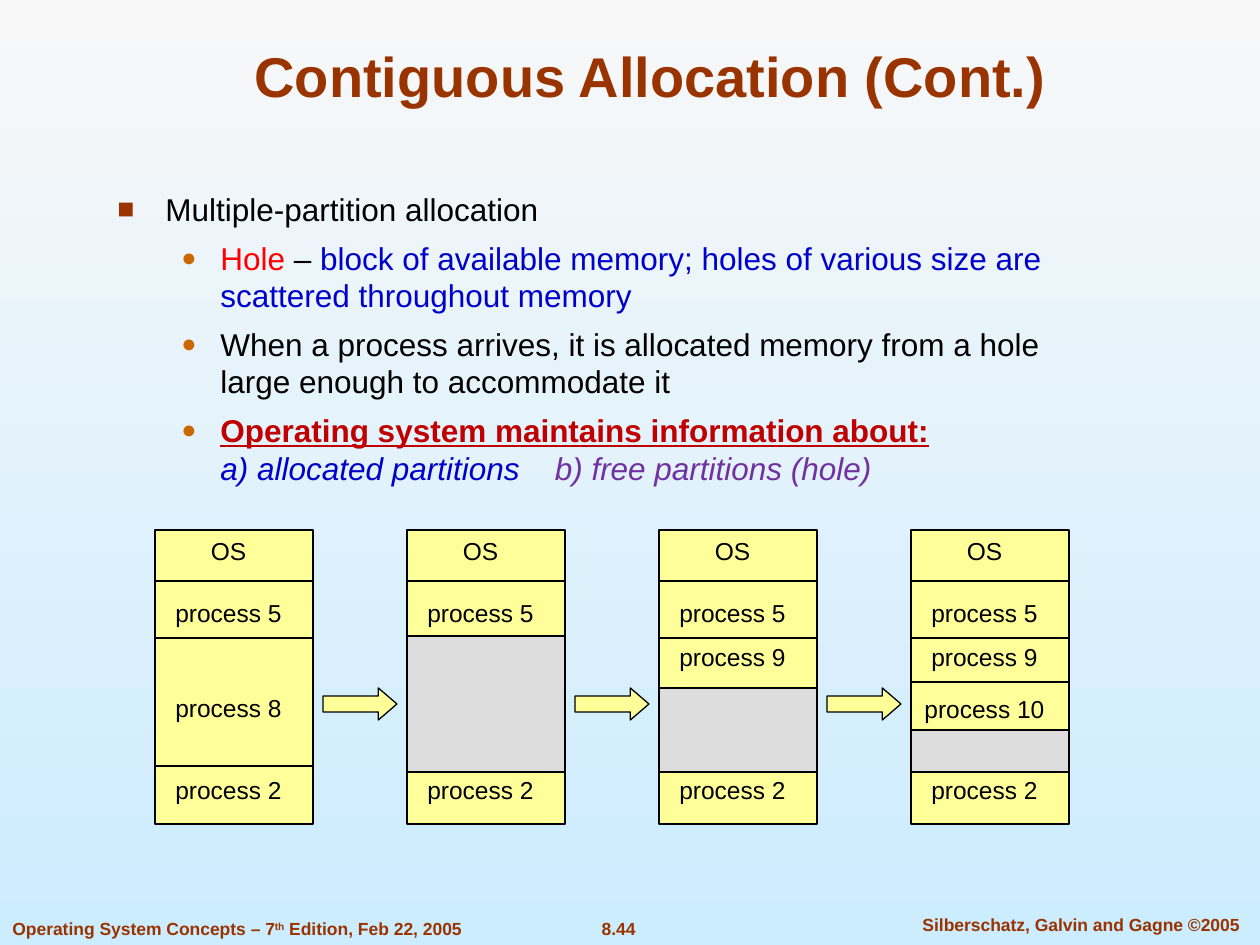
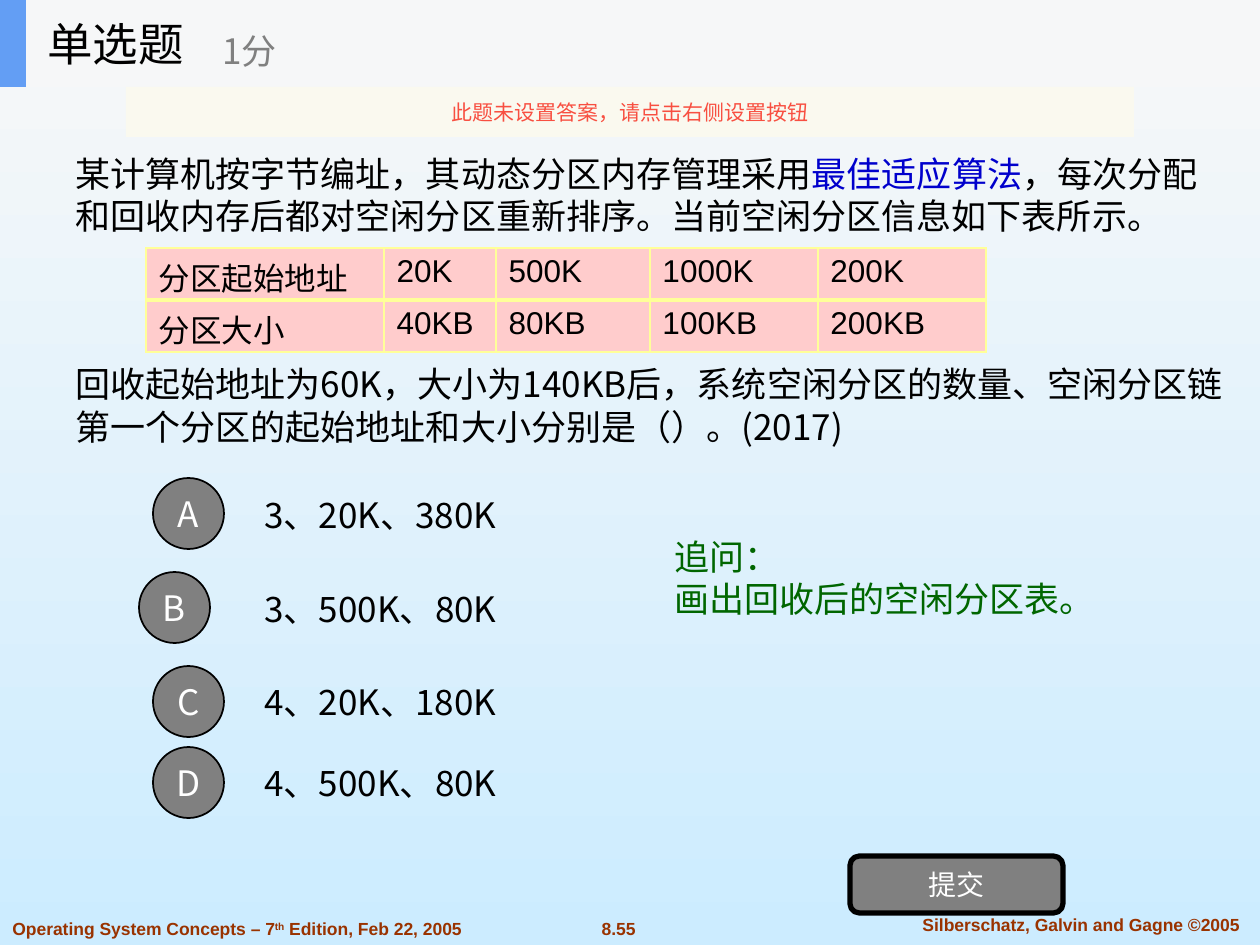
import lxml.etree
import pptx
import pptx.dml.color
import pptx.enum.shapes
import pptx.enum.text
import pptx.oxml
import pptx.oxml.ns
import pptx.util

RGB = pptx.dml.color.RGBColor
Pt = pptx.util.Pt
qn = pptx.oxml.ns.qn
SHAPE = pptx.enum.shapes.MSO_SHAPE
ALIGN = pptx.enum.text.PP_ALIGN
ANCHOR = pptx.enum.text.MSO_ANCHOR

PX = 914400 / 126
LATIN = "Arial"
CJK = "Noto Sans CJK SC"

BLACK = RGB(0x00, 0x00, 0x00)
WHITE = RGB(0xFF, 0xFF, 0xFF)
SKY_TOP = RGB(0xF8, 0xF8, 0xF8)
SKY_BOTTOM = RGB(0xCC, 0xEC, 0xFF)
BROWN = RGB(0x99, 0x33, 0x00)
ORANGE = RGB(0xCC, 0x66, 0x00)
RED = RGB(0xFF, 0x00, 0x00)
DARK_RED = RGB(0xC0, 0x00, 0x00)
BLUE = RGB(0x00, 0x00, 0xCC)
PURPLE = RGB(0x70, 0x30, 0xA0)
GREEN = RGB(0x00, 0x66, 0x00)
YELLOW = RGB(0xFF, 0xFF, 0x99)
PINK = RGB(0xFF, 0xCC, 0xCC)
HOLE_GREY = RGB(0xDD, 0xDD, 0xDD)
GREY = RGB(0x80, 0x80, 0x80)
HEADER_GREY = RGB(0xF6, 0xF7, 0xF8)
HEADER_BLUE = RGB(0x63, 0x9E, 0xF4)
NOTICE_CREAM = RGB(0xFB, 0xFA, 0xEF)
NOTICE_RED = RGB(0xF8, 0x4F, 0x41)

COLUMN_LEFT, COLUMN_STEP, COLUMN_WIDTH = 155, 252, 158
MEMORY_TOP, MEMORY_HEIGHT = 530, 294
# Each memory state: labels with their tops, divider heights, top of the hole
HOLE_BOTTOM = 772
SHARED_LABELS = [("OS", MEMORY_TOP), ("process 5", 592), ("process 2", 769)]
SHARED_DIVIDERS = [581, 638, 766]
MEMORY_STATES = [
    ([("process 8", 687)], [], None),
    ([], [], 636),
    ([("process 9", 636)], [], 688),
    ([("process 9", 636), ("process 10", 688)], [682], 730),
]

FREE_PARTITIONS = [
    ["分区起始地址", "20K", "500K", "1000K", "200K"],
    ["分区大小", "40KB", "80KB", "100KB", "200KB"],
]
# letter, answer, circle left, row centre
OPTIONS = [
    ("A", "3、20K、380K", 153, 514),
    ("B", "3、500K、80K", 139, 608),
    ("C", "4、20K、180K", 153, 702),
    ("D", "4、500K、80K", 153, 783),
]


def px(*lengths):
    return [round(n * PX) for n in lengths]


def add_run(p, text, size, color=BLACK, font=LATIN, bold=False, italic=False,
            underline=False, tracking=0):
    """Tracking is extra space after each letter, in points."""
    r = p.add_run()
    r.text = text
    f = r.font
    f.name, f.size, f.bold, f.italic = font, Pt(size), bold, italic
    f.underline = underline
    f.color.rgb = color
    rPr = r._r.get_or_add_rPr()
    if tracking:
        rPr.set("spc", str(tracking * 100))
    lxml.etree.SubElement(rPr, qn("a:ea")).set("typeface", CJK)
    return r


def add_box(shapes, box, anchor=ANCHOR.TOP, wrap=True):
    tf = shapes.add_textbox(*px(*box)).text_frame
    tf.word_wrap = wrap
    tf.vertical_anchor = anchor
    return tf


def add_line_of_text(shapes, box, text, size, color=BLACK, font=LATIN, bold=False,
                     align=ALIGN.LEFT, anchor=ANCHOR.MIDDLE, wrap=True):
    p = add_box(shapes, box, anchor, wrap).paragraphs[0]
    p.alignment = align
    add_run(p, text, size, color, font, bold)
    return p


def add_filled(shapes, kind, box, fill, line_width=0):
    sp = shapes.add_shape(kind, *px(*box))
    sp.shadow.inherit = False
    sp.fill.solid()
    sp.fill.fore_color.rgb = fill
    if line_width:
        sp.line.color.rgb = BLACK
        sp.line.width = Pt(line_width)
    else:
        sp.line.fill.background()
    return sp


def label_shape(sp, text, size, color):
    tf = sp.text_frame
    tf.word_wrap = False
    tf.vertical_anchor = ANCHOR.MIDDLE
    p = tf.paragraphs[0]
    p.alignment = ALIGN.CENTER
    add_run(p, text, size, color, CJK)


def add_divider(shapes, x, y, width):
    line = shapes.add_connector(pptx.enum.shapes.MSO_CONNECTOR.STRAIGHT,
                                *px(x, y, x + width, y))
    line.line.color.rgb = BLACK
    line.line.width = Pt(0.75)
    lxml.etree.SubElement(line._element.spPr, qn("a:effectLst"))


def set_bullet(p, char, color, percent, margin, hanging):
    pPr = p._p.get_or_add_pPr()
    pPr.set("marL", str(px(margin)[0]))
    pPr.set("indent", str(px(-hanging)[0]))
    clr = lxml.etree.SubElement(pPr, qn("a:buClr"))
    lxml.etree.SubElement(clr, qn("a:srgbClr")).set("val", str(color))
    lxml.etree.SubElement(pPr, qn("a:buSzPct")).set("val", str(percent * 1000))
    lxml.etree.SubElement(pPr, qn("a:buFont")).set("typeface", LATIN)
    lxml.etree.SubElement(pPr, qn("a:buChar")).set("char", char)


def set_border(cell, side, width):
    """Side is L, R, T or B; call in that order, before the fill is set."""
    ln = lxml.etree.SubElement(cell._tc.get_or_add_tcPr(), qn("a:ln" + side))
    ln.set("w", str(Pt(width)))
    fill = lxml.etree.SubElement(ln, qn("a:solidFill"))
    lxml.etree.SubElement(fill, qn("a:srgbClr")).set("val", str(YELLOW))


def add_slide(prs, number):
    """Blank slide with the sky gradient and the three footers."""
    s = prs.slides.add_slide(prs.slide_layouts[6])
    fill = s.background.fill
    fill.gradient()
    fill.gradient_angle = 270
    for stop, color in zip(fill.gradient_stops, (SKY_TOP, SKY_BOTTOM)):
        stop.color.rgb = color
    footer = dict(size=10, color=BROWN, bold=True)
    add_line_of_text(s.shapes, (585, 912, 67, 34), number, align=ALIGN.CENTER,
                     anchor=ANCHOR.TOP, wrap=False, **footer)
    add_line_of_text(s.shapes, (894, 908, 374, 34),
                     "Silberschatz, Galvin and Gagne ©2005", align=ALIGN.CENTER,
                     anchor=ANCHOR.TOP, **footer)
    p = add_line_of_text(s.shapes, (0, 912, 530, 34), "Operating System Concepts – 7",
                         anchor=ANCHOR.TOP, wrap=False, **footer)
    add_run(p, "th", **footer).font._element.set("baseline", "30000")
    add_run(p, " Edition, Feb 22, 2005", **footer)
    return s


def add_bullets(shapes):
    top = ("■", BROWN, 90, 48, 48)
    sub = ("●", ORANGE, 80, 103, 39)
    points = [
        (top, [("Multiple-partition allocation", {})]),
        (sub, [("Hole", dict(color=RED)), (" – ", {}),
               ("block of available memory; holes of various size are "
                "scattered throughout memory", dict(color=BLUE))]),
        (sub, [("When a process arrives, it is allocated memory from a hole "
                "large enough to accommodate it", {})]),
        (sub, [("Operating system maintains information about:",
                dict(color=DARK_RED, bold=True, underline=True)),
               None,
               ("a) allocated partitions", dict(color=BLUE, italic=True)),
               (" ", dict(color=BLUE, italic=True, tracking=15)),
               ("b) free partitions (hole)", dict(color=PURPLE, italic=True))]),
    ]
    tf = add_box(shapes, (105, 184, 1013, 336))
    for i, (bullet, runs) in enumerate(points):
        p = tf.add_paragraph() if i else tf.paragraphs[0]
        p.space_before = Pt(6)
        set_bullet(p, *bullet)
        for run in runs:
            if run is None:
                p.add_line_break()
            else:
                add_run(p, run[0], 18, **run[1])


def add_memory(shapes, x, labels, dividers, hole_top):
    add_filled(shapes, SHAPE.RECTANGLE, (x, MEMORY_TOP, COLUMN_WIDTH, MEMORY_HEIGHT),
               YELLOW, 0.75)
    for y in SHARED_DIVIDERS + dividers:
        add_divider(shapes, x, y, COLUMN_WIDTH)
    if hole_top:
        add_filled(shapes, SHAPE.RECTANGLE,
                   (x, hole_top, COLUMN_WIDTH, HOLE_BOTTOM - hole_top), HOLE_GREY, 0.75)
    for text, y in SHARED_LABELS + labels:
        add_line_of_text(shapes, (x, y, 147, 42), text, 14, align=ALIGN.CENTER)


def add_memory_states(s):
    shapes = s.shapes.add_group_shape().shapes
    for i, state in enumerate(MEMORY_STATES):
        x = COLUMN_LEFT + i * COLUMN_STEP
        add_memory(shapes, x, *state)
        if i:
            arrow = add_filled(shapes, SHAPE.RIGHT_ARROW, (x - 84, 688, 74, 32),
                               YELLOW, 0.75)
            arrow.adjustments[1] = 0.58


def add_question_header(shapes):
    add_filled(shapes, SHAPE.RECTANGLE, (0, 0, 1260, 87), HEADER_GREY)
    add_filled(shapes, SHAPE.RECTANGLE, (0, 0, 26, 87), HEADER_BLUE)
    add_line_of_text(shapes, (35, 0, 262, 87), "单选题", 26, font=CJK, wrap=False)
    add_line_of_text(shapes, (210, 15, 315, 71), "1分", 20, GREY, CJK, wrap=False)
    notice = add_filled(shapes, SHAPE.RECTANGLE, (126, 87, 1008, 50), NOTICE_CREAM)
    color = notice._element.spPr.find(".//" + qn("a:srgbClr"))
    lxml.etree.SubElement(color, qn("a:alpha")).set("val", "90000")
    label_shape(notice, "此题未设置答案，请点击右侧设置按钮", 12, NOTICE_RED)


def add_chinese_text(shapes, box, paragraphs, gap=0):
    """Paragraphs are lists of (text, colour); gap is in points."""
    tf = add_box(shapes, box, ANCHOR.MIDDLE)
    for i, runs in enumerate(paragraphs):
        p = tf.add_paragraph() if i else tf.paragraphs[0]
        p.line_spacing = Pt(24)
        p.space_before = Pt(gap if i else 0)
        for text, color in runs:
            add_run(p, text, 20, color, CJK)


def add_partition_table(shapes):
    widths = [238, 112, 154, 168, 168]
    table = shapes.add_table(2, 5, *px(146, 248, sum(widths), 104)).table
    table.first_row = table.horz_banding = False
    for column, width in zip(table.columns, px(*widths)):
        column.width = width
    for i, values in enumerate(FREE_PARTITIONS):
        for j, value in enumerate(values):
            cell = table.cell(i, j)
            cell.margin_bottom = 0
            for side in "LRTB":
                inner = side == ("T" if i else "B")
                set_border(cell, side, 3 if inner else 1)
            cell.fill.solid()
            cell.fill.fore_color.rgb = PINK
            add_run(cell.text_frame.paragraphs[0], value, 18)


def add_option(shapes, letter, answer, left, centre):
    add_line_of_text(shapes, (252, centre - 44, 420, 88), answer, 20, font=CJK)
    circle = add_filled(shapes, SHAPE.OVAL, (left, centre - 36, 71, 71), GREY, 1)
    label_shape(circle, letter, 20, WHITE)


def build_allocation_slide(prs):
    s = add_slide(prs, "8.44")
    add_line_of_text(s.shapes, (94, 31, 1113, 84), "Contiguous Allocation (Cont.)", 32,
                     BROWN, bold=True, align=ALIGN.CENTER, anchor=ANCHOR.BOTTOM)
    add_bullets(s.shapes)
    add_memory_states(s)


def build_question_slide(prs):
    s = add_slide(prs, "8.55")
    add_question_header(s.shapes)
    add_chinese_text(s.shapes, (63, 125, 1179, 350), [
        [("某计算机按字节编址，其动态分区内存管理采用", BLACK), ("最佳适应算法", BLUE),
         ("，每次分配和回收内存后都对空闲分区重新排序。当前空闲分区信息如下表所示。", BLACK)],
        [("回收起始地址为60K，大小为140KB后，系统空闲分区的数量、空闲分区"
          "链第一个分区的起始地址和大小分别是（）。(2017)", BLACK)],
    ], gap=72)
    add_partition_table(s.shapes)
    for option in OPTIONS:
        add_option(s.shapes, *option)
    add_chinese_text(s.shapes, (662, 534, 460, 88),
                     [[("追问：", GREEN)], [("画出回收后的空闲分区表。", GREEN)]])
    submit = add_filled(s.shapes, SHAPE.ROUNDED_RECTANGLE, (850, 856, 213, 57), GREY, 3)
    label_shape(submit, "提交", 16, WHITE)


def main():
    prs = pptx.Presentation()
    prs.slide_width, prs.slide_height = px(1260, 945)
    build_allocation_slide(prs)
    build_question_slide(prs)
    prs.save("out.pptx")


if __name__ == "__main__":
    main()
